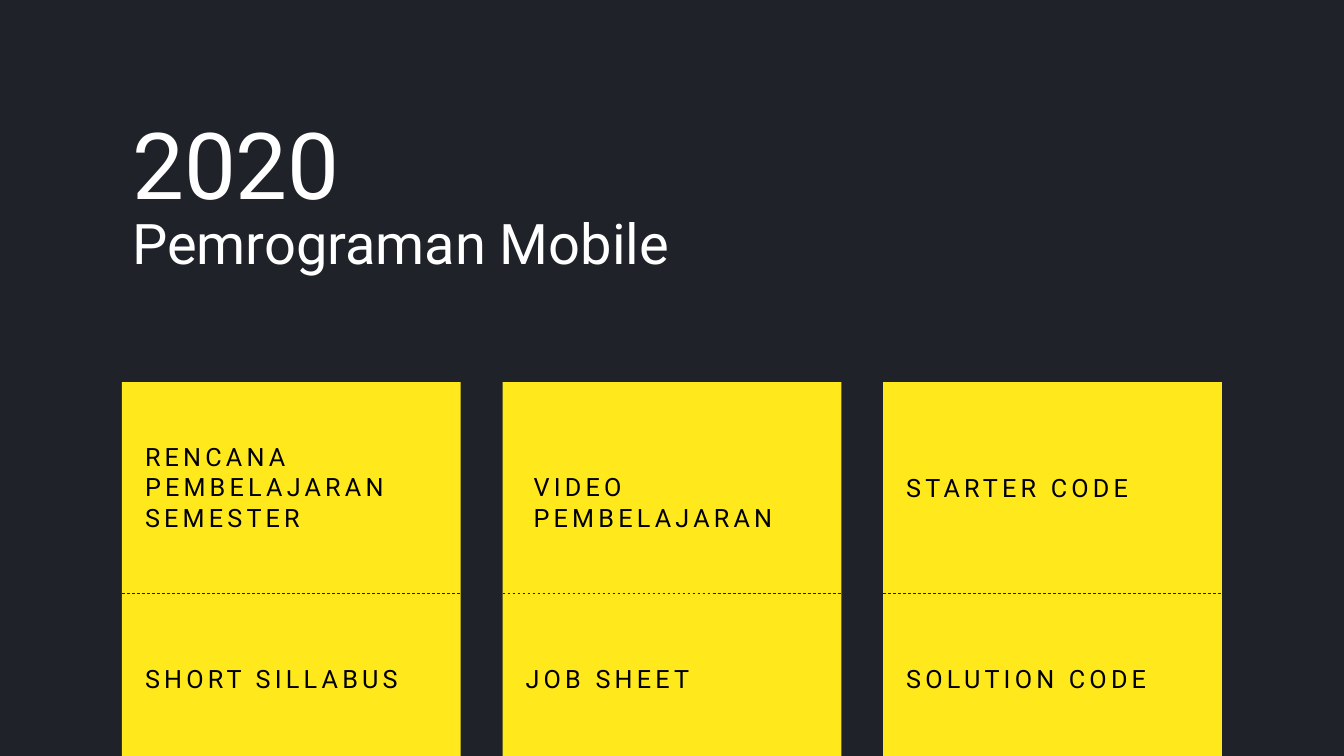
from pptx import Presentation
from pptx.dml.color import RGBColor
from pptx.enum.dml import MSO_LINE
from pptx.enum.shapes import MSO_CONNECTOR, MSO_SHAPE
from pptx.enum.text import MSO_ANCHOR, MSO_AUTO_SIZE, PP_ALIGN
from pptx.oxml.ns import qn
from pptx.util import Inches, Pt
from lxml import etree

COLORS = {"dark": "1F2228", "yellow": "FFE91C", "white": "FFFFFF", "black": "000000"}
HEADING = {"name": "Roboto", "bold": False}
LABEL = {"name": "Roboto", "size": Pt(18)}
CARD_W, CARD_H, CARD_PITCH = 3.36, 4.2, 3.775

# Upper label, its offset in the card and height; then the lower label
CARDS = [
    ("RENCANA PEMBELAJARAN SEMESTER", 0.13, 0.54, 1.01, "SHORT SILLABUS"),
    ("VIDEO PEMBELAJARAN", 0.21, 0.84, 0.71, "JOB SHEET"),
    ("STARTER CODE", 0.13, 0.85, 0.4, "SOLUTION CODE"),
]


def color(name):
    return RGBColor.from_string(COLORS[name])


def style(p, text, formats, color_name):
    r = p.add_run()
    r.text = text
    for key, value in formats.items():
        setattr(r.font, key, value)
    r.font.color.rgb = color(color_name)
    return r


def add_heading(sp, text, size, x, y, w, h):
    """Move a title placeholder to its box and fill it."""
    sp.left, sp.top, sp.width, sp.height = map(Inches, (x, y, w, h))
    tf = sp.text_frame
    tf.word_wrap = False
    tf.auto_size = MSO_AUTO_SIZE.NONE
    tf.vertical_anchor = MSO_ANCHOR.TOP
    p = tf.paragraphs[0]
    p.alignment = PP_ALIGN.LEFT
    p.space_before = Pt(0)
    style(p, text, {**HEADING, "size": Pt(size)}, "white")


def add_label(s, text, x, y, h):
    sp = s.shapes.add_textbox(Inches(x), Inches(y), Inches(2.83), Inches(h))
    tf = sp.text_frame
    tf.word_wrap = True
    r = style(tf.paragraphs[0], text, LABEL, "black")
    r.font._element.set("spc", "300")


def add_divider(s, x, y, w):
    line = s.shapes.add_connector(
        MSO_CONNECTOR.STRAIGHT, Inches(x), Inches(y), Inches(x + w), Inches(y))
    line.line.color.rgb = color("dark")
    line.line.width = Pt(0.5)
    line.line.dash_style = MSO_LINE.DASH
    etree.SubElement(line._element.spPr, qn("a:effectLst"))


def add_card(s, x, y, upper, dx, dy, upper_h, lower):
    sp = s.shapes.add_shape(
        MSO_SHAPE.RECTANGLE, Inches(x), Inches(y), Inches(CARD_W), Inches(CARD_H))
    sp.shadow.inherit = False
    sp.fill.solid()
    sp.fill.fore_color.rgb = color("yellow")
    sp.line.fill.background()
    add_label(s, upper, x + dx, y + dy, upper_h)
    add_label(s, lower, x + 0.13, y + 2.74, 0.4)
    add_divider(s, x, y + CARD_H / 2, CARD_W)


def main():
    prs = Presentation()
    prs.slide_width, prs.slide_height = Inches(13.33), Inches(7.5)
    s = prs.slides.add_slide(prs.slide_layouts[0])
    s.background.fill.solid()
    s.background.fill.fore_color.rgb = color("dark")
    add_heading(s.shapes.title, "2020", 66, 1.21, 1.01, 2.31, 1.21)
    add_heading(s.placeholders[1], "Pemrograman Mobile", 40, 1.21, 2.02, 5.78, 0.77)
    for i, card in enumerate(CARDS):
        add_card(s, 1.21 + i * CARD_PITCH, 3.79, *card)
    prs.save("out.pptx")


if __name__ == "__main__":
    main()
